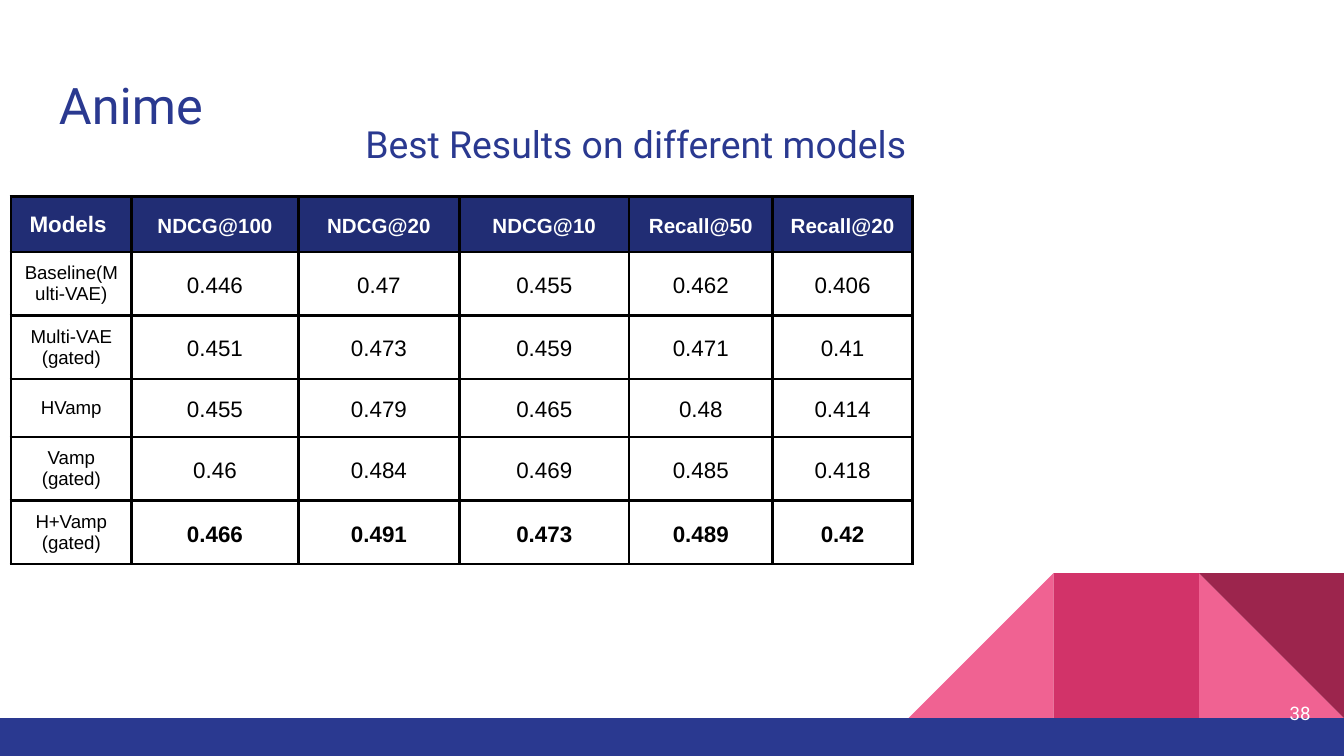
from dataclasses import dataclass

from lxml.etree import SubElement as Sub
from pptx import Presentation
from pptx.dml.color import RGBColor as Color
from pptx.enum.shapes import MSO_SHAPE as Kind
from pptx.enum.text import MSO_ANCHOR as Anchor, PP_ALIGN as Align
from pptx.oxml.ns import qn
from pptx.util import Inches, Pt

WIDE, HIGH = Inches(10), Inches(5.625)
BLUE, NAVY, PINK, ROSE, WINE = "2A3990", "212D74", "F06292", "D23369", "9C254D"
WHITE, BLACK = "FFFFFF", "000000"
STEP, TALL, FOOT = 10.8, 19.2, 95


@dataclass(frozen=True)
class Box:
    left: float
    top: float
    wide: float
    high: float

    def place(self) -> tuple:
        return tuple(int(share * side / 100) for share, side in zip(
            (self.left, self.top, self.wide, self.high), (WIDE, HIGH) * 2))


@dataclass(frozen=True)
class Block:
    kind: Kind
    box: Box
    fill: str
    turn: int = 0


@dataclass(frozen=True)
class Label:
    text: str
    box: Box
    size: int
    tint: str
    align: Align = Align.LEFT
    anchor: Anchor = Anchor.TOP


def hue(code: str) -> Color:
    return Color.from_string(code)


def style(item, form: dict) -> None:
    for name, value in form.items():
        setattr(item, name, value)


def inset(size: float) -> dict:
    return {f"margin_{side}": Inches(size) for side in ("left", "right", "top", "bottom")}


def write(frame, text: str, tint: str, para: dict, font: dict) -> None:
    line = frame.paragraphs[0]
    style(line, para)
    run = line.add_run()
    run.text = text
    style(run.font, font)
    run.font.color.rgb = hue(tint)


def tile(col: int) -> Box:
    return Box(100 - col * STEP, FOOT - TALL, STEP, TALL)


def draw_block(slide, block: Block) -> None:
    shape = slide.shapes.add_shape(block.kind, *block.box.place())
    style(shape, {"rotation": block.turn})
    shape.shadow.inherit = False
    shape.fill.solid()
    shape.fill.fore_color.rgb = hue(block.fill)
    shape.line.fill.background()


def draw_label(slide, label: Label) -> None:
    frame = slide.shapes.add_textbox(*label.box.place()).text_frame
    style(frame, {"word_wrap": True, "vertical_anchor": label.anchor, **inset(0.1)})
    write(frame, label.text, label.tint, {"alignment": label.align},
          {"name": "Roboto", "size": Pt(label.size)})


def edge(cell) -> None:
    props = cell._tc.get_or_add_tcPr()
    for side in "LRTB":
        line = Sub(props, qn(f"a:ln{side}"), w=str(Pt(1.5)))
        Sub(Sub(line, qn("a:solidFill")), qn("a:srgbClr"), val=BLACK)


def draw_cell(cell, text: str, row: int, col: int, last: int) -> None:
    head, name = row == 0, col == 0
    edge(cell)
    if head:
        cell.fill.solid()
        cell.fill.fore_color.rgb = hue(NAVY)
    else:
        cell.fill.background()
    style(cell, {"vertical_anchor": Anchor.MIDDLE, **inset(0.07 if name else 0.1)})
    size = (12 if name else 11) if head else (10 if name else 12)
    write(cell.text_frame, text, WHITE if head else BLACK,
          {"alignment": Align.CENTER, "line_spacing": 1.0 if name else 1.15},
          {"name": "Arial", "size": Pt(size), "bold": head or (row == last and not name)})


def draw_table(slide, data: list, cols: list, rows: list, left: float, top: float) -> None:
    box = Box(left, top, sum(cols) * 10, sum(rows) * 100 / 5.625)
    table = slide.shapes.add_table(len(rows), len(cols), *box.place()).table
    style(table, {"first_row": False, "horz_banding": False})
    for col, wide in zip(table.columns, cols):
        col.width = Inches(wide)
    for row, high in zip(table.rows, rows):
        row.height = Inches(high)
    for row, line in enumerate(data):
        for col, text in enumerate(line):
            draw_cell(table.cell(row, col), text, row, col, len(data) - 1)


BLOCKS = [
    Block(Kind.RIGHT_TRIANGLE, tile(1), PINK),
    Block(Kind.RIGHT_TRIANGLE, tile(3), PINK, 270),
    Block(Kind.RECTANGLE, tile(2), ROSE),
    Block(Kind.RIGHT_TRIANGLE, tile(1), WINE, 180),
    Block(Kind.RECTANGLE, Box(0, FOOT, 100, 100 - FOOT), BLUE),
]
LABELS = [
    Label("38", Box(92.5, 90.5, 6, 7.6), 10, WHITE, Align.RIGHT, Anchor.MIDDLE),
    Label("Anime", Box(3.4, 8, 93.2, 11.7), 27, BLUE),
    Label("Best Results on different models", Box(26.2, 14.2, 43, 11.7), 20, BLUE),
]
SCORES = [
    ["Models ", "NDCG@100", "NDCG@20", "NDCG@10", "Recall@50", "Recall@20"],
    ["Baseline(Multi-VAE)", "0.446", "0.47", "0.455", "0.462", "0.406"],
    ["Multi-VAE (gated)", "0.451", "0.473", "0.459", "0.471", "0.41"],
    ["HVamp", "0.455", "0.479", "0.465", "0.48", "0.414"],
    ["Vamp (gated)", "0.46", "0.484", "0.469", "0.485", "0.418"],
    ["H+Vamp (gated)", "0.466", "0.491", "0.473", "0.489", "0.42"],
]
COLS = [0.9, 1.24, 1.2, 1.26, 1.07, 1.04]
ROWS = [0.39, 0.45, 0.45, 0.42, 0.45, 0.45]


def main() -> None:
    deck = Presentation()
    style(deck, {"slide_width": WIDE, "slide_height": HIGH})
    slide = deck.slides.add_slide(deck.slide_layouts[6])
    for block in BLOCKS:
        draw_block(slide, block)
    for label in LABELS:
        draw_label(slide, label)
    draw_table(slide, SCORES, COLS, ROWS, 0.8, 26)
    deck.save("out.pptx")


if __name__ == "__main__":
    main()
